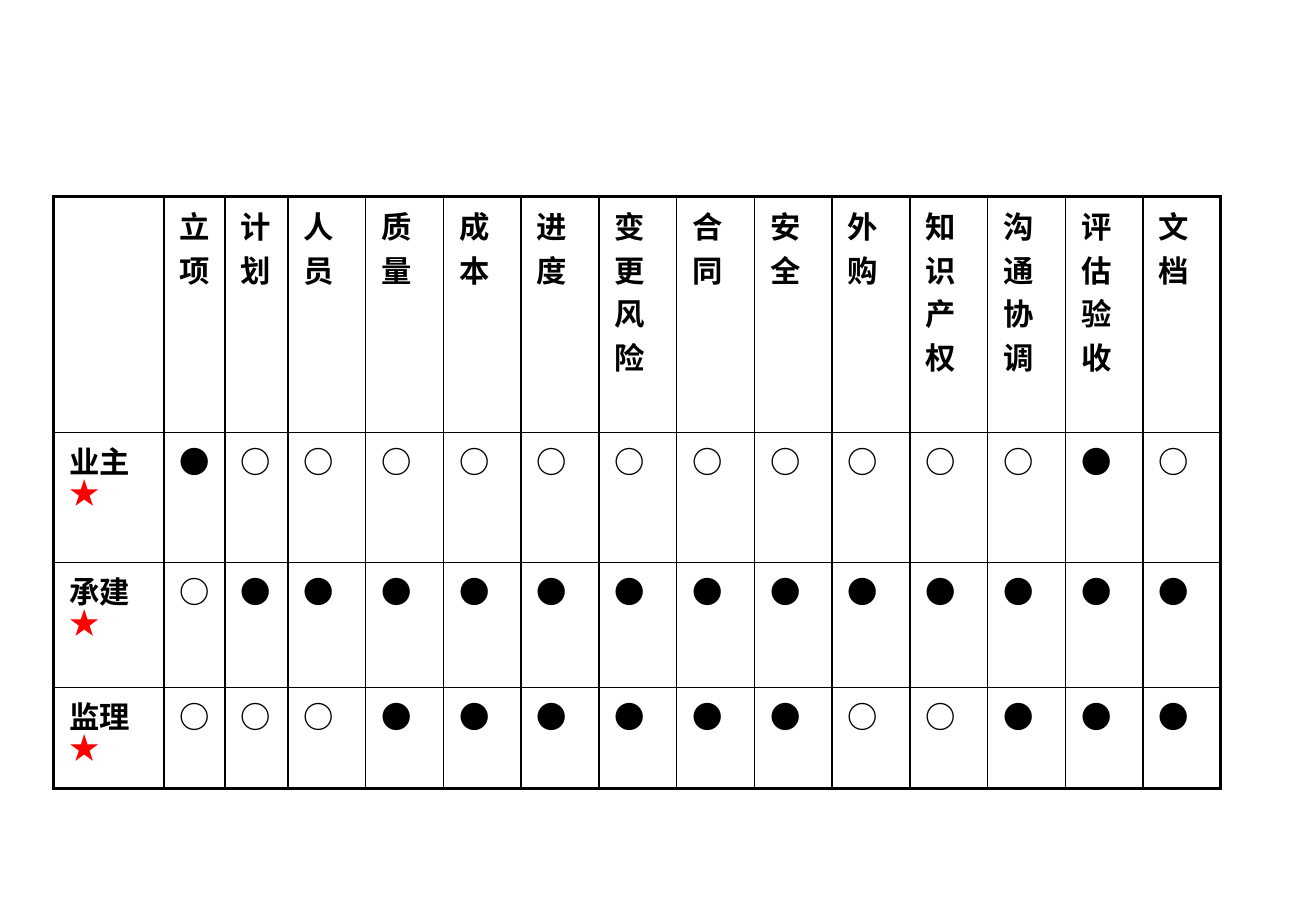
import pptx
import pptx.util
import pptx.dml.color
import pptx.oxml.ns
import lxml.etree

Inches, Pt = pptx.util.Inches, pptx.util.Pt
qn = pptx.oxml.ns.qn
COLORS = {"ink": "000000", "star": "FF0000"}
CJK_FACE, STAR_FACE = "Noto Sans CJK SC", "TeX Gyre Pagella"
INNER_LINE, OUTER_LINE = 1, 2.25


def style_font(font, face, color):
    font.size = Pt(18)
    font.bold = True
    font.color.rgb = pptx.dml.color.RGBColor.from_string(COLORS[color])
    font.name = face
    east_asian = lxml.etree.Element(qn("a:ea"), typeface=face)
    font._element.find(qn("a:latin")).addnext(east_asian)


def add_border(cell, side, width):
    properties = cell._tc.get_or_add_tcPr()
    line = lxml.etree.SubElement(properties, qn(f"a:ln{side}"), w=str(int(Pt(width))))
    fill = lxml.etree.SubElement(line, qn("a:solidFill"))
    lxml.etree.SubElement(fill, qn("a:srgbClr"), val=COLORS["ink"])


phases = ["立项", "计划", "人员", "质量", "成本", "进度", "变更风险", "合同",
          "安全", "外购", "知识产权", "沟通协调", "评估验收", "文档"]
duties = {
    "业主": "●○○○○○○○○○○○●○",
    "承建": "○●●●●●●●●●●●●●",
    "监理": "○○○●●●●●●○○●●●",
}
rows = [["", *phases]] + [[party, *marks] for party, marks in duties.items()]
column_widths = [0.91, 0.5, 0.52] + [0.64] * 12
row_heights = [1.94, 1.07, 1.03, 0.83]

presentation = pptx.Presentation()
presentation.slide_width = Inches(10.83)
presentation.slide_height = Inches(7.5)
slide = presentation.slides.add_slide(presentation.slide_layouts[6])

duty_table = slide.shapes.add_table(
    len(rows), len(column_widths), Inches(0.44), Inches(1.62),
    Inches(sum(column_widths)), Inches(sum(row_heights))).table
duty_table.first_row = False
duty_table.horz_banding = False
for column, width in zip(duty_table.columns, column_widths):
    column.width = Inches(width)
for row, height in zip(duty_table.rows, row_heights):
    row.height = Inches(height)

last_row, last_column = len(rows) - 1, len(column_widths) - 1
for r, texts in enumerate(rows):
    for c, text in enumerate(texts):
        cell = duty_table.cell(r, c)
        cell.margin_left = cell.margin_right = Inches(0.13)
        cell.margin_top = cell.margin_bottom = Inches(0.05)
        edges = {"L": c == 0, "R": c == last_column, "T": r == 0, "B": r == last_row}
        for side, is_outer in edges.items():
            add_border(cell, side, OUTER_LINE if is_outer else INNER_LINE)
        cell.fill.background()

        paragraph = cell.text_frame.paragraphs[0]
        spacing = lxml.etree.Element(qn("a:spcBef"))
        lxml.etree.SubElement(spacing, qn("a:spcPct"), val="20000")
        paragraph._p.get_or_add_pPr().insert(0, spacing)
        if not text:
            continue
        label = paragraph.add_run()
        label.text = text
        if r > 0 and c == 0:
            style_font(label.font, CJK_FACE, "ink")
            star = paragraph.add_run()
            star.text = "★"
            style_font(star.font, STAR_FACE, "star")
        else:
            style_font(paragraph.font, CJK_FACE, "ink")

presentation.save("out.pptx")
